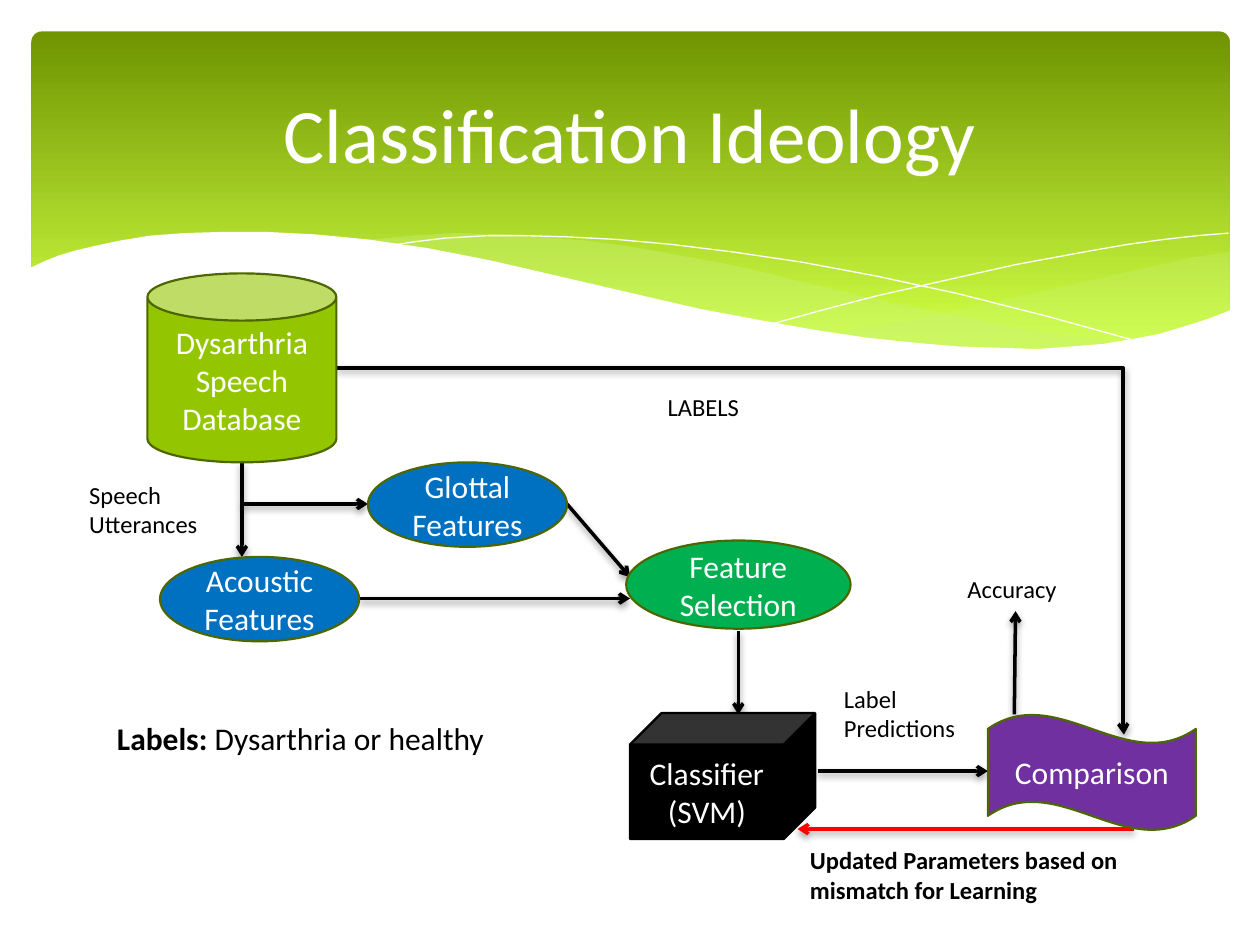
from lxml.etree import SubElement
from pptx import Presentation
from pptx.dml.color import RGBColor
from pptx.enum.shapes import MSO_CONNECTOR as LINK, MSO_SHAPE as SHAPE
from pptx.enum.text import MSO_ANCHOR as ANCHOR, PP_ALIGN as ALIGN
from pptx.oxml.ns import qn
from pptx.util import Pt

PX = 9144  # 100 px to the inch
COLORS = {
    "white": "FFFFFF", "black": "000000", "red": "FF0000",
    "lime": "94C600", "olive": "4D6700", "blue": "0070C0",
    "green": "00B050", "purple": "7030A0", "pale": "CAF278",
    "band_top": "6F9400", "band_bottom": "D0FF44",
}


def rgb(name):
    return RGBColor.from_string(COLORS[name])


def write(frame, text, size, color, align=ALIGN.LEFT, bold=False):
    frame.text = text
    for paragraph in frame.paragraphs:
        paragraph.alignment = align
        for run in paragraph.runs:
            run.font.name = "Calibri"
            run.font.size = Pt(size)
            run.font.bold = bold
            run.font.color.rgb = rgb(color)


prs = Presentation()
prs.slide_width, prs.slide_height = 1000 * PX, 750 * PX
slide = prs.slides.add_slide(prs.slide_layouts[5])
shapes = slide.shapes

# Green header band
band = shapes.add_shape(SHAPE.ROUNDED_RECTANGLE, 25 * PX, 25 * PX, 951 * PX, 270 * PX)
band.adjustments[0] = 0.03
band.shadow.inherit = False
band.line.fill.background()
band.fill.gradient()
band.fill.gradient_angle = 270
for stop, position, color in zip(band.fill.gradient_stops, (0, 0.9), ("band_top", "band_bottom")):
    stop.position = position
    stop.color.rgb = rgb(color)

# Waves over the band: fill, opacity in percent, closed, points
waves = [
    ("pale", 29, True, [
        (976, 200), (948, 204), (921, 210), (876, 220), (832, 230), (779, 242), (729, 253),
        (661, 265), (691, 269), (719, 271), (745, 275), (781, 277), (814, 278), (844, 277),
        (872, 274), (897, 270), (921, 265), (942, 259), (963, 252), (976, 247)]),
    ("pale", 40, True, [
        (893, 273), (866, 269), (837, 265), (807, 260), (775, 254), (741, 247), (706, 240),
        (668, 231), (629, 222), (598, 214), (569, 208), (541, 203), (514, 198), (489, 194),
        (465, 191), (442, 189), (420, 187), (399, 186), (361, 185), (328, 187), (286, 191),
        (323, 196), (362, 203), (404, 211), (449, 222), (491, 232), (530, 240), (566, 248),
        (601, 255), (634, 261), (665, 266), (695, 270), (722, 274), (748, 276), (773, 277),
        (807, 278), (838, 278), (867, 276)]),
    (None, 100, False, [
        (309, 195), (328, 192), (353, 189), (387, 187), (416, 187), (450, 188), (489, 190),
        (533, 194), (582, 200), (636, 208), (695, 219), (760, 233), (831, 251), (907, 272)]),
    (None, 100, False, [
        (613, 257), (653, 246), (695, 235), (748, 223), (806, 210), (866, 199), (895, 194),
        (924, 190), (951, 187), (975, 185)]),
    ("white", 100, True, [
        (977, 246), (959, 253), (940, 259), (920, 265), (899, 269), (875, 273), (850, 275),
        (823, 277), (793, 276), (761, 275), (726, 272), (688, 268), (648, 262), (603, 254),
        (555, 245), (503, 233), (447, 220), (391, 207), (340, 197), (292, 190), (250, 186),
        (211, 184), (177, 184), (146, 185), (119, 187), (95, 191), (76, 195), (59, 199),
        (46, 203), (36, 207), (23, 213), (23, 329), (977, 329)]),
]
for fill, opacity, closed, points in waves:
    builder = shapes.build_freeform(*points[0], scale=PX)
    builder.add_line_segments(points[1:], close=closed)
    wave = builder.convert_to_shape()
    wave.shadow.inherit = False
    if fill:
        wave.line.fill.background()
        wave.fill.solid()
        wave.fill.fore_color.rgb = rgb(fill)
        if opacity < 100:
            tint = wave.fill._xPr.find(".//" + qn("a:srgbClr"))
            SubElement(tint, qn("a:alpha"), val=str(opacity * 1000))
    else:
        wave.fill.background()
        wave.line.color.rgb = rgb("white")
        wave.line.width = 0

# Title, brought in front of the band
title = shapes.title
title.left, title.top, title.width, title.height = 50 * PX, 37 * PX, 900 * PX, 137 * PX
title.text_frame.vertical_anchor = ANCHOR.MIDDLE
write(title.text_frame, "Classification Ideology", 44, "white", ALIGN.CENTER)
shapes._spTree.append(title._element)

# Arrows between the stages: kind, start, end, color
arrows = [
    (LINK.STRAIGHT, (192, 367), (192, 442), "black"),  # database to acoustic
    (LINK.STRAIGHT, (192, 400), (292, 400), "black"),  # database to glottal
    (LINK.STRAIGHT, (450, 400), (500, 458), "black"),  # glottal to selection
    (LINK.STRAIGHT, (285, 475), (500, 475), "black"),  # acoustic to selection
    (LINK.STRAIGHT, (586, 501), (586, 567), "black"),  # selection to classifier
    (LINK.ELBOW, (267, 292), (892, 583), "black"),     # labels to comparison
    (LINK.STRAIGHT, (649, 612), (784, 612), "black"),  # classifier to comparison
    (LINK.STRAIGHT, (805, 567), (806, 485), "black"),  # comparison to accuracy
    (LINK.STRAIGHT, (900, 658), (633, 658), "red"),    # feedback to classifier
]
for kind, (x1, y1), (x2, y2), color in arrows:
    arrow = shapes.add_connector(kind, x1 * PX, y1 * PX, x2 * PX, y2 * PX)
    arrow.line.color.rgb = rgb(color)
    arrow.line.width = Pt(2)
    SubElement(arrow.line._get_or_add_ln(), qn("a:tailEnd"), type="arrow")
    props = arrow._element.spPr
    if kind == LINK.ELBOW:
        guides = props.find(qn("a:prstGeom")).get_or_add_avLst()
        SubElement(guides, qn("a:gd"), name="adj1", fmla="val 99900")
    effects = SubElement(props, qn("a:effectLst"))
    shadow = SubElement(effects, qn("a:outerShdw"), blurRad=str(Pt(4)), dist=str(Pt(2)),
                        dir="5400000", rotWithShape="0")
    shade = SubElement(shadow, qn("a:srgbClr"), val=COLORS["black"])
    SubElement(shade, qn("a:alpha"), val="38000")

# Stages of the flow
stages = [
    (SHAPE.CAN, (117, 217, 150, 150), "lime", "olive", "Dysarthria Speech Database"),
    (SHAPE.OVAL, (127, 442, 158, 67), "blue", "olive", "Acoustic Features"),
    (SHAPE.OVAL, (292, 367, 158, 67), "blue", "olive", "Glottal Features"),
    (SHAPE.OVAL, (497, 429, 178, 70), "green", "olive", "Feature\nSelection"),
    (SHAPE.CUBE, (500, 566, 147, 100), "black", "black", "Classifier\n(SVM)"),
    (SHAPE.WAVE, (784, 567, 165, 92), "purple", "olive", "Comparison"),
]
for preset, box, fill, outline, text in stages:
    stage = shapes.add_shape(preset, *(n * PX for n in box))
    stage.shadow.inherit = False
    stage.fill.solid()
    stage.fill.fore_color.rgb = rgb(fill)
    stage.line.color.rgb = rgb(outline)
    stage.line.width = Pt(1.25)
    stage.text_frame.vertical_anchor = ANCHOR.MIDDLE
    write(stage.text_frame, text, 18, "white", ALIGN.CENTER)

# Captions: box, text, size, bold, wrap
captions = [
    ((61, 376, 112, 57), "Speech\nUtterances", 14, False, False),
    ((520, 306, 83, 34), "LABELS", 14, False, False),
    ((660, 538, 113, 57), "Label\nPredictions", 14, False, False),
    ((758, 451, 95, 34), "Accuracy", 14, False, False),
    ((633, 666, 267, 57), "Updated Parameters based on mismatch for Learning", 14, True, True),
    ((83, 566, 342, 40), "Labels: ", 18, True, True),
]
for box, text, size, bold, wrap in captions:
    caption = shapes.add_textbox(*(n * PX for n in box)).text_frame
    caption.word_wrap = wrap
    write(caption, text, size, "black", bold=bold)

# Plain ending of the last caption, the legend
meaning = caption.paragraphs[0].add_run()
meaning.text = "Dysarthria or healthy"
meaning.font.name = "Calibri"
meaning.font.size = Pt(18)
meaning.font.color.rgb = rgb("black")

prs.save("out.pptx")
